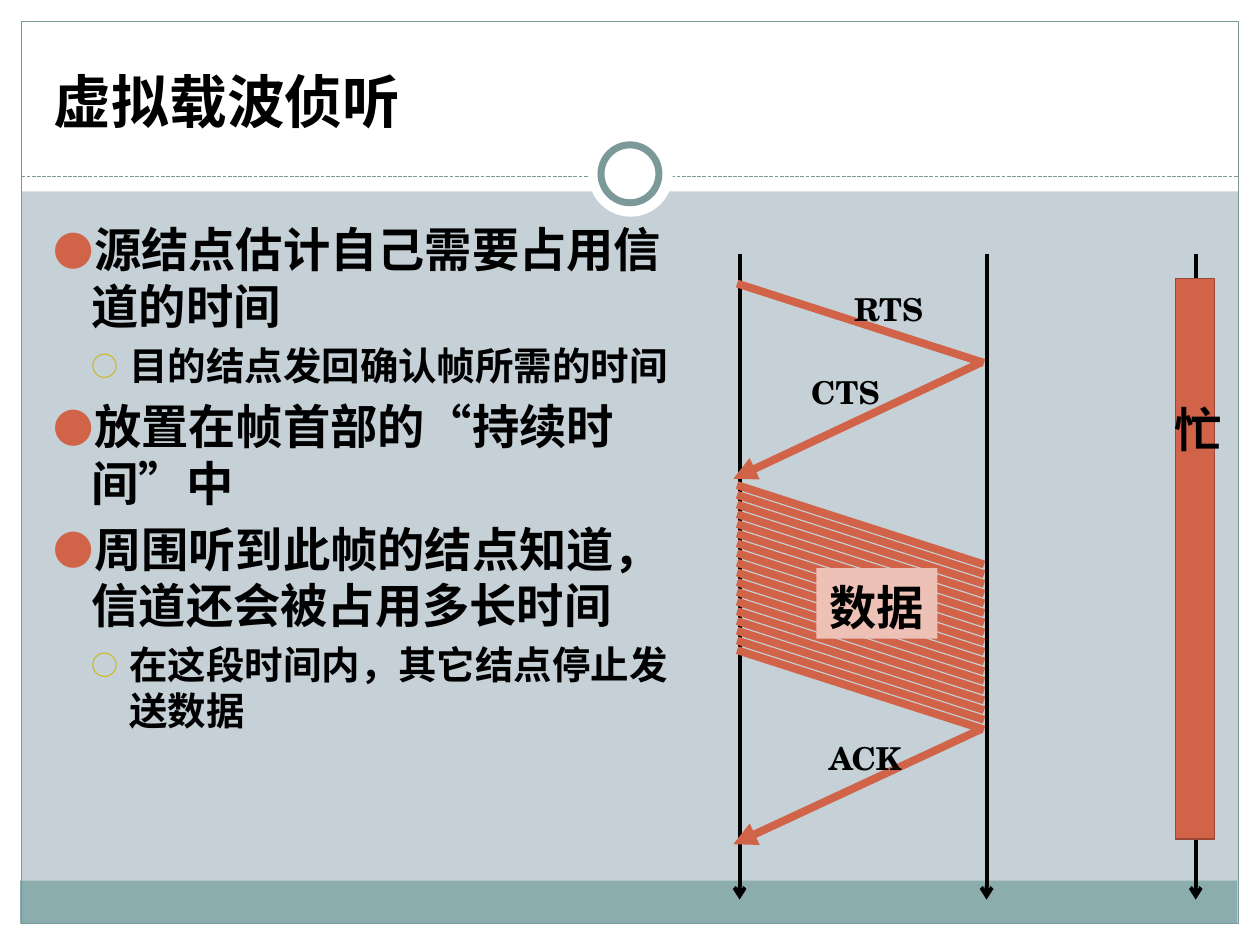
from lxml.etree import SubElement
from pptx import Presentation
from pptx.dml.color import RGBColor
from pptx.enum.dml import MSO_LINE
from pptx.enum.shapes import MSO_CONNECTOR, MSO_SHAPE
from pptx.enum.text import MSO_ANCHOR, PP_ALIGN
from pptx.oxml.ns import qn
from pptx.util import Inches, Pt

CJK, SERIF = "Noto Sans CJK SC", "TeX Gyre Schola"
ORANGE, TEAL, WHITE, BLACK = "D16349", "7C999A", "FFFFFF", "000000"

TITLE = "虚拟载波侦听"
POINTS = [
    (0, "源结点估计自己需要占用信道的时间"),
    (1, "目的结点发回确认帧所需的时间"),
    (0, "放置在帧首部的“持续时间”中"),
    (0, "周围听到此帧的结点知道，信道还会被占用多长时间"),
    (1, "在这段时间内，其它结点停止发送数据"),
]
LEVELS = [
    dict(size=27, indent=0.3, bullet="●", color=ORANGE, scale=85),
    dict(size=22, indent=0.6, bullet="○", color="CCB400", scale=70),
]
BANDS = [
    (0, 7.33, 10, 0.17, WHITE),
    (0, 0, 10, 1.52, WHITE),
    (0, 0, 0.17, 7.5, WHITE),
    (9.83, 0, 0.17, 7.5, WHITE),
    (0.16, 6.99, 9.66, 0.34, "8CADAE"),
]
TIMELINES = [9.49, 5.87, 7.83]
TIMELINE_TOP, TIMELINE_END = 2.02, 7.14
SENDER, RECEIVER = 5.85, 7.81
DROP = 0.63
RTS_START = 2.25
DATA_FIRST, DATA_LAST, DATA_COUNT = 3.85, 5.16, 18
REPLIES = [(2.88, 3.8), (5.79, 6.7)]
FRAME_LABELS = [
    ("ACK", 6.48, 5.82, 0.8),
    ("CTS", 6.34, 2.91, 0.76),
    ("RTS", 6.68, 2.25, 0.77),
]

deck = Presentation()
deck.slide_width, deck.slide_height = Inches(10), Inches(7.5)
slide = deck.slides.add_slide(deck.slide_layouts[6])


def rgb(value):
    """Turn a hex string into a colour."""
    return RGBColor.from_string(value)


def add_block(left, top, width, height, fill=None, line=None, weight=0.75, kind=MSO_SHAPE.RECTANGLE):
    """Add a preset shape with an optional fill and outline."""
    block = slide.shapes.add_shape(kind, Inches(left), Inches(top), Inches(width), Inches(height))
    block.shadow.inherit = False
    if fill:
        block.fill.solid()
        block.fill.fore_color.rgb = rgb(fill)
    else:
        block.fill.background()
    if line:
        block.line.color.rgb = rgb(line)
        block.line.width = Pt(weight)
    else:
        block.line.fill.background()
    return block


def add_line(x1, y1, x2, y2, color=ORANGE, weight=4.5, arrow=None, dash=None):
    """Add a straight connector with an optional arrowhead at its end."""
    stroke = slide.shapes.add_connector(
        MSO_CONNECTOR.STRAIGHT, Inches(x1), Inches(y1), Inches(x2), Inches(y2))
    stroke.line.color.rgb = rgb(color)
    stroke.line.width = Pt(weight)
    if dash:
        stroke.line.dash_style = dash
    if arrow:
        SubElement(stroke.line._get_or_add_ln(), qn("a:tailEnd"), type=arrow)
    SubElement(stroke._element.spPr, qn("a:effectLst"))


def write(paragraph, text, size=27, font=CJK, align=PP_ALIGN.LEFT):
    """Write one bold run into a paragraph."""
    paragraph.alignment = align
    run = paragraph.add_run()
    run.text = text
    run.font.name, run.font.size, run.font.bold = font, Pt(size), True
    run.font.color.rgb = rgb(BLACK)
    if font == CJK:
        paragraph.line_spacing = Pt(1.2 * size)
        SubElement(run._r.get_or_add_rPr(), qn("a:ea"), typeface=font)


def prepare(frame, anchor=MSO_ANCHOR.TOP, wrap=True, top=0.08, bottom=0.01):
    """Set a text frame's layout and return its first paragraph."""
    frame.word_wrap, frame.vertical_anchor = wrap, anchor
    frame.margin_top, frame.margin_bottom = Inches(top), Inches(bottom)
    return frame.paragraphs[0]


def add_box(left, top, width, height):
    """Add a text box and return its frame."""
    return slide.shapes.add_textbox(
        Inches(left), Inches(top), Inches(width), Inches(height)).text_frame


def add_bullet(paragraph, level):
    """Give a paragraph the indent and bullet of its level."""
    style = LEVELS[level]
    paragraph.level = level
    props = paragraph._p.get_or_add_pPr()
    props.set("marL", str(Inches(style["indent"])))
    props.set("indent", str(Inches(-0.3)))
    SubElement(SubElement(props, qn("a:buClr")), qn("a:srgbClr"), val=style["color"])
    SubElement(props, qn("a:buSzPct"), val=str(style["scale"] * 1000))
    SubElement(props, qn("a:buFont"), typeface=CJK)
    SubElement(props, qn("a:buChar"), char=style["bullet"])


def add_points():
    """Add the bulleted text."""
    frame = add_box(0.33, 1.67, 5.34, 5)
    paragraph = prepare(frame)
    for index, (level, text) in enumerate(POINTS):
        size = LEVELS[level]["size"]
        if index:
            paragraph = frame.add_paragraph()
            paragraph.space_before = Pt(0.2 * size)
        add_bullet(paragraph, level)
        write(paragraph, text, size=size)


def add_backdrop():
    """Add the background, bands, frame and ring."""
    slide.background.fill.solid()
    slide.background.fill.fore_color.rgb = rgb("C5D1D7")
    for band in BANDS:
        add_block(*band)
    add_block(0.17, 0.17, 9.66, 7.16, line=TEAL)
    add_line(0.17, 1.4, 9.83, 1.4, color=TEAL, weight=0.75, dash=MSO_LINE.SQUARE_DOT)
    add_block(4.67, 1.05, 0.67, 0.67, WHITE, kind=MSO_SHAPE.OVAL)
    add_block(4.77, 1.15, 0.46, 0.46, WHITE, TEAL, 4, MSO_SHAPE.OVAL)


def add_exchange():
    """Add the timelines and the frames sent between them."""
    for x in TIMELINES:
        add_line(x, TIMELINE_TOP, x, TIMELINE_END, color=BLACK, weight=2.25, arrow="arrow")
    add_block(9.33, 2.21, 0.31, 4.45, ORANGE, "9B4936", 0.9)
    write(prepare(add_box(9.22, 3.1, 0.94, 0.56)), "忙")
    step = (DATA_LAST - DATA_FIRST) / (DATA_COUNT - 1)
    for start in [RTS_START] + [DATA_FIRST + i * step for i in range(DATA_COUNT)]:
        add_line(SENDER, start, RECEIVER, start + DROP)
    for start, end in REPLIES:
        add_line(7.78, start, 5.82, end, arrow="triangle")
    data = add_block(6.48, 4.51, 0.96, 0.56, "EDC1B6")
    write(prepare(data.text_frame), "数据", align=PP_ALIGN.CENTER)
    for text, left, top, width in FRAME_LABELS:
        frame = add_box(left, top, width, 0.4)
        write(prepare(frame, wrap=False, top=0.05, bottom=0.05), text, size=18, font=SERIF)


add_backdrop()
write(prepare(add_box(0.33, 0.25, 9.33, 0.83), anchor=MSO_ANCHOR.BOTTOM), TITLE, size=33)
add_points()
add_exchange()
deck.save("out.pptx")
